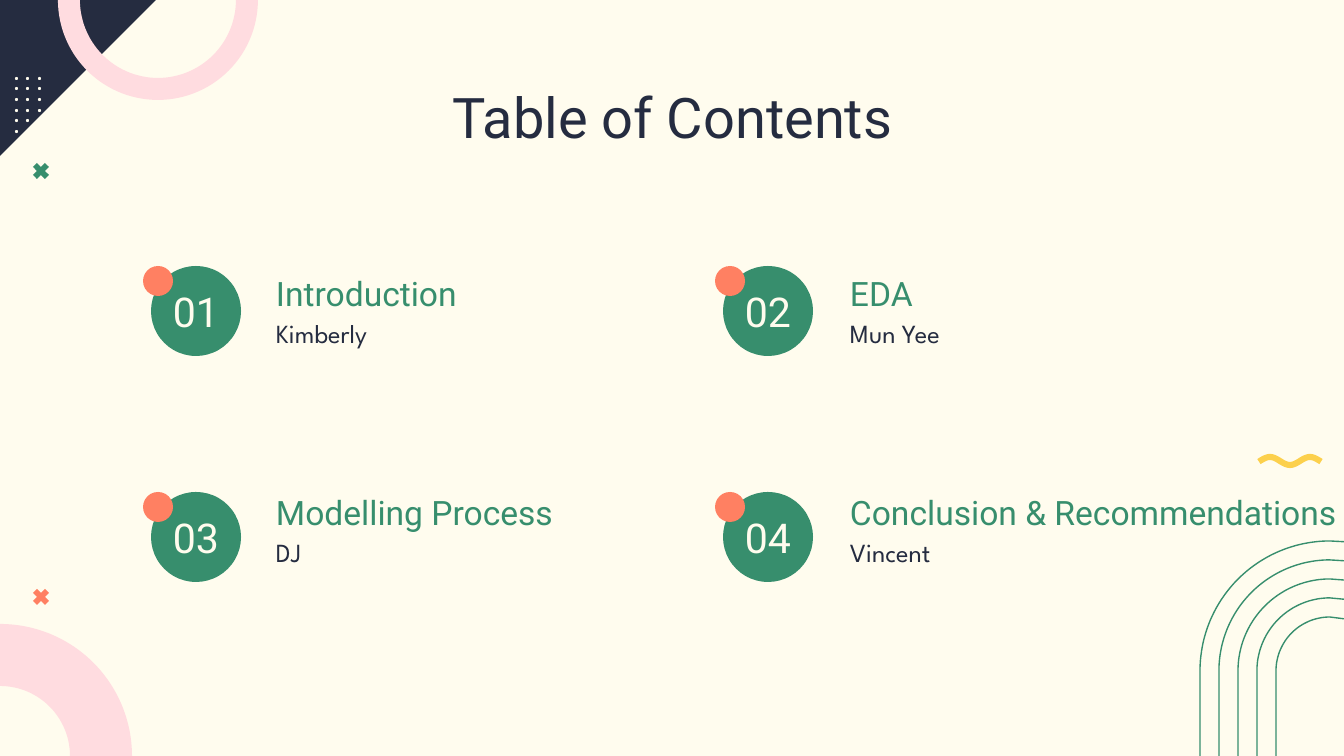
from math import cos, pi, radians, sin

from pptx import Presentation
from pptx.dml.color import RGBColor
from pptx.enum.shapes import MSO_SHAPE
from pptx.enum.text import MSO_ANCHOR, PP_ALIGN
from pptx.util import Emu, Pt

OVAL = MSO_SHAPE.OVAL
MIDDLE = MSO_ANCHOR.MIDDLE
LEFT, CENTER = PP_ALIGN.LEFT, PP_ALIGN.CENTER

WIDTH, HEIGHT = 1344, 756
EMU_PER_PX = 914400 / 134.4

CREAM = RGBColor(0xFF, 0xFC, 0xEE)
NAVY = RGBColor(0x25, 0x2C, 0x40)
GREEN = RGBColor(0x37, 0x8E, 0x6D)
CORAL = RGBColor(0xFF, 0x80, 0x62)
PINK = RGBColor(0xFF, 0xDC, 0xE0)
YELLOW = RGBColor(0xFC, 0xD0, 0x4C)

HEADING_FONT, BODY_FONT = "Roboto", "League Spartan"

# circle left, text left
COLUMNS = [(151, 263), (723, 837)]
# circle top, heading top
ROWS = [(266, 277), (492, 496)]
# heading, presenter, heading width
TOPICS = [
    ("Introduction", "Kimberly", 362),
    ("EDA", "Mun Yee", 362),
    ("Modelling Process", "DJ", 362),
    ("Conclusion & Recommendations", "Vincent", 517),
]


def px(n):
    return Emu(round(n * EMU_PER_PX))


def arc(cx, cy, radius, start, end):
    """Points along a circle, in degrees clockwise from the right."""
    steps = 60
    angles = [radians(start + (end - start) * i / steps) for i in range(steps + 1)]
    return [(cx + radius * cos(a), cy + radius * sin(a)) for a in angles]


def outline(s, points, close):
    pts = [(px(x), px(y)) for x, y in points]
    builder = s.shapes.build_freeform(*pts[0], scale=1.0)
    builder.add_line_segments(pts[1:], close=close)
    sp = builder.convert_to_shape()
    sp.shadow.inherit = False
    return sp


def add_polygon(s, points, color):
    sp = outline(s, points, True)
    sp.fill.solid()
    sp.fill.fore_color.rgb = color
    sp.line.fill.background()


def add_curve(s, points, color, weight):
    sp = outline(s, points, False)
    sp.fill.background()
    sp.line.color.rgb = color
    sp.line.width = Pt(weight)


def add_ring(s, cx, cy, outer, inner, start, end):
    points = arc(cx, cy, outer, start, end) + arc(cx, cy, inner, end, start)
    add_polygon(s, points, PINK)


def add_circle(s, x, y, size, color):
    sp = s.shapes.add_shape(OVAL, px(x), px(y), px(size), px(size))
    sp.shadow.inherit = False
    sp.fill.solid()
    sp.fill.fore_color.rgb = color
    sp.line.fill.background()
    return sp


def add_cross(s, cx, cy, color):
    corners = [(-1, -2), (-2, -1), (-1, 0), (-2, 1), (-1, 2), (0, 1),
               (1, 2), (2, 1), (1, 0), (2, -1), (1, -2), (0, -1)]
    add_polygon(s, [(cx + 4 * x, cy + 4 * y) for x, y in corners], color)


def write(sp, text, size, color, font=HEADING_FONT, align=LEFT, inset=13):
    tf = sp.text_frame
    tf.word_wrap = True
    tf.vertical_anchor = MIDDLE
    tf.margin_left = tf.margin_right = px(inset)
    tf.margin_top = tf.margin_bottom = px(inset)
    tf.text = text
    p = tf.paragraphs[0]
    p.alignment = align
    f = p.runs[0].font
    f.name, f.size, f.color.rgb = font, Pt(size), color
    return p


def add_text(s, x, y, w, h, text, size, color, **style):
    box = s.shapes.add_textbox(px(x), px(y), px(w), px(h))
    return write(box, text, size, color, **style)


def add_topic(s, index, heading, presenter, width):
    circle_x, text_x = COLUMNS[index % 2]
    circle_y, text_y = ROWS[index // 2]
    badge = add_circle(s, circle_x, circle_y, 90, GREEN)
    write(badge, f"{index + 1:02}", 22, CREAM, align=CENTER, inset=0)
    add_circle(s, circle_x - 8, circle_y, 30, CORAL)
    p = add_text(s, text_x, text_y, width, 40, heading, 18, GREEN)
    p.line_spacing = 0.8
    add_text(s, text_x, text_y + 29, 362, 54, presenter, 14, NAVY, font=BODY_FONT)


def add_decoration(s):
    add_ring(s, 0, HEIGHT, 132, 70, 270, 360)
    for i in range(5):
        radius = 130 - 19 * i
        points = [(1330 - radius, HEIGHT)] + arc(1330, 671, radius, 180, 270)
        end_y = 671 - (radius ** 2 - (WIDTH - 1330) ** 2) ** 0.5
        add_curve(s, points + [(WIDTH, end_y)], GREEN, 0.75)

    corner = 156
    add_polygon(s, [(0, 0), (corner, 0), (0, corner)], NAVY)
    add_ring(s, 158, 0, 100, 78, 0, 180)
    for x in (15, 26, 38):
        for row in range(6):
            y = 77 + 32 * row // 3
            if x + y < corner:
                add_circle(s, x, y, 3, CREAM)

    wave = [(x, 461 + 4 * cos(2 * pi * (x - 1290) / 40)) for x in range(1259, 1322)]
    add_curve(s, wave, YELLOW, 3.25)
    add_cross(s, 41, 597, CORAL)
    add_cross(s, 41, 171, GREEN)


def main():
    prs = Presentation()
    prs.slide_width, prs.slide_height = px(WIDTH), px(HEIGHT)
    s = prs.slides.add_slide(prs.slide_layouts[6])
    s.background.fill.solid()
    s.background.fill.fore_color.rgb = CREAM

    add_decoration(s)
    for index, topic in enumerate(TOPICS):
        add_topic(s, index, *topic)
    add_text(s, 106, 79, 1133, 74, "Table of Contents", 30, NAVY, align=CENTER)
    prs.save("out.pptx")


if __name__ == "__main__":
    main()
